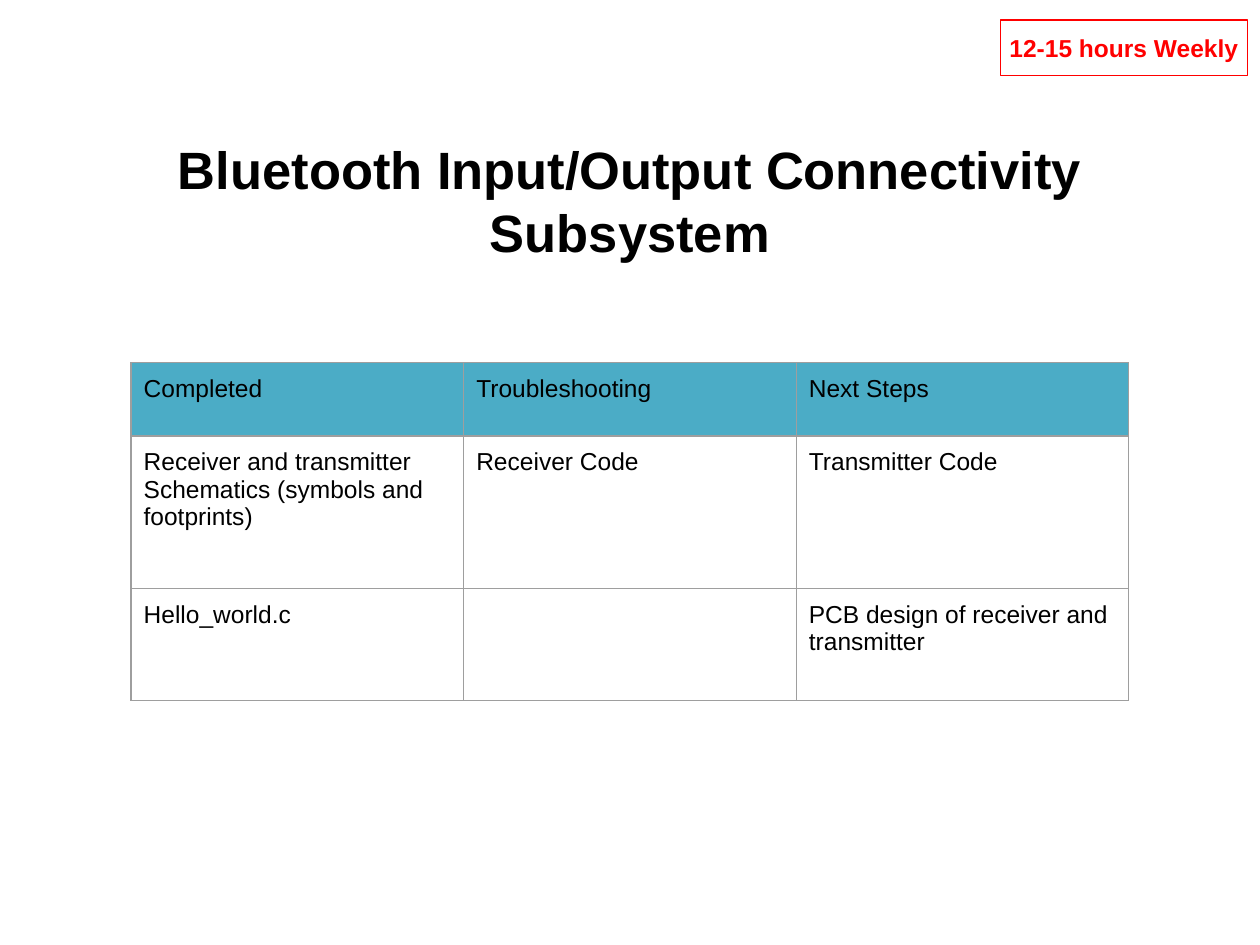
from pptx import Presentation
from pptx.dml.color import RGBColor
from pptx.enum.shapes import MSO_SHAPE
from pptx.enum.text import MSO_ANCHOR, PP_ALIGN
from pptx.oxml import parse_xml
from pptx.oxml.ns import nsdecls
from pptx.util import Inches, Pt

BLACK = RGBColor(0x00, 0x00, 0x00)
RED = RGBColor(0xFF, 0x00, 0x00)
TEAL = RGBColor(0x4B, 0xAC, 0xC6)
GRAY = RGBColor(0x9E, 0x9E, 0x9E)

ROW_HEIGHTS = (0.58, 1.21, 0.89)
STATUS = (
    ("Completed", "Troubleshooting", "Next Steps"),
    ("Receiver and transmitter Schematics (symbols and footprints)",
     "Receiver Code", "Transmitter Code"),
    ("Hello_world.c", "", "PCB design of receiver and transmitter"),
)


def add_run(p, text, size, color=BLACK, bold=False):
    r = p.add_run()
    r.text = text
    r.font.name = "Arial"
    r.font.size = Pt(size)
    r.font.bold = bold
    r.font.color.rgb = color


def add_centered_text(slide, box, text, size, color, inset):
    tf = slide.shapes.add_textbox(*map(Inches, box)).text_frame
    tf.word_wrap = True
    tf.vertical_anchor = MSO_ANCHOR.MIDDLE
    tf.margin_left = tf.margin_right = Inches(0.1)
    tf.margin_top = tf.margin_bottom = Inches(inset)
    p = tf.paragraphs[0]
    p.alignment = PP_ALIGN.CENTER
    add_run(p, text, size, color, bold=True)


def add_hours_badge(slide, left, top, width, height):
    overhang = 0.08
    text_box = (left - overhang, top, width + 2 * overhang, height)
    add_centered_text(slide, text_box, "12-15 hours Weekly", 14, RED, 0.1)
    s = slide.shapes.add_shape(
        MSO_SHAPE.RECTANGLE, *map(Inches, (left, top, width, height)))
    s.shadow.inherit = False
    s.fill.background()
    s.line.color.rgb = RED
    s.line.width = Pt(0.75)


def set_borders(cell, color, width):
    tc_pr = cell._tc.get_or_add_tcPr()
    for i, side in enumerate(("lnL", "lnR", "lnT", "lnB")):
        tc_pr.insert(i, parse_xml(
            f'<a:{side} {nsdecls("a")} w="{Pt(width)}"><a:solidFill>'
            f'<a:srgbClr val="{color}"/></a:solidFill></a:{side}>'))


def add_status_table(slide, left, top, width):
    box = map(Inches, (left, top, width, sum(ROW_HEIGHTS)))
    table = slide.shapes.add_table(len(STATUS), len(STATUS[0]), *box).table
    table.first_row = table.horz_banding = False
    for col in table.columns:
        col.width = Inches(width / len(STATUS[0]))
    for i, (height, texts) in enumerate(zip(ROW_HEIGHTS, STATUS)):
        table.rows[i].height = Inches(height)
        for j, text in enumerate(texts):
            cell = table.cell(i, j)
            cell.margin_left = cell.margin_right = Inches(0.1)
            cell.margin_top = cell.margin_bottom = Inches(0.1)
            if i == 0:
                cell.fill.solid()
                cell.fill.fore_color.rgb = TEAL
            else:
                cell.fill.background()
            set_borders(cell, GRAY, 0.75)
            if text:
                add_run(cell.text_frame.paragraphs[0], text, 14)


def main():
    prs = Presentation()
    prs.slide_width = Inches(10)
    prs.slide_height = Inches(7.5)
    slide = prs.slides.add_slide(prs.slide_layouts[6])
    add_centered_text(slide, (0.5, 1.15, 9, 0.88),
                      "Bluetooth Input/Output Connectivity Subsystem",
                      30, BLACK, 0.05)
    add_status_table(slide, 1.04, 2.88, 7.92)
    add_hours_badge(slide, 7.94, 0.16, 1.96, 0.44)
    prs.save("out.pptx")


if __name__ == "__main__":
    main()
